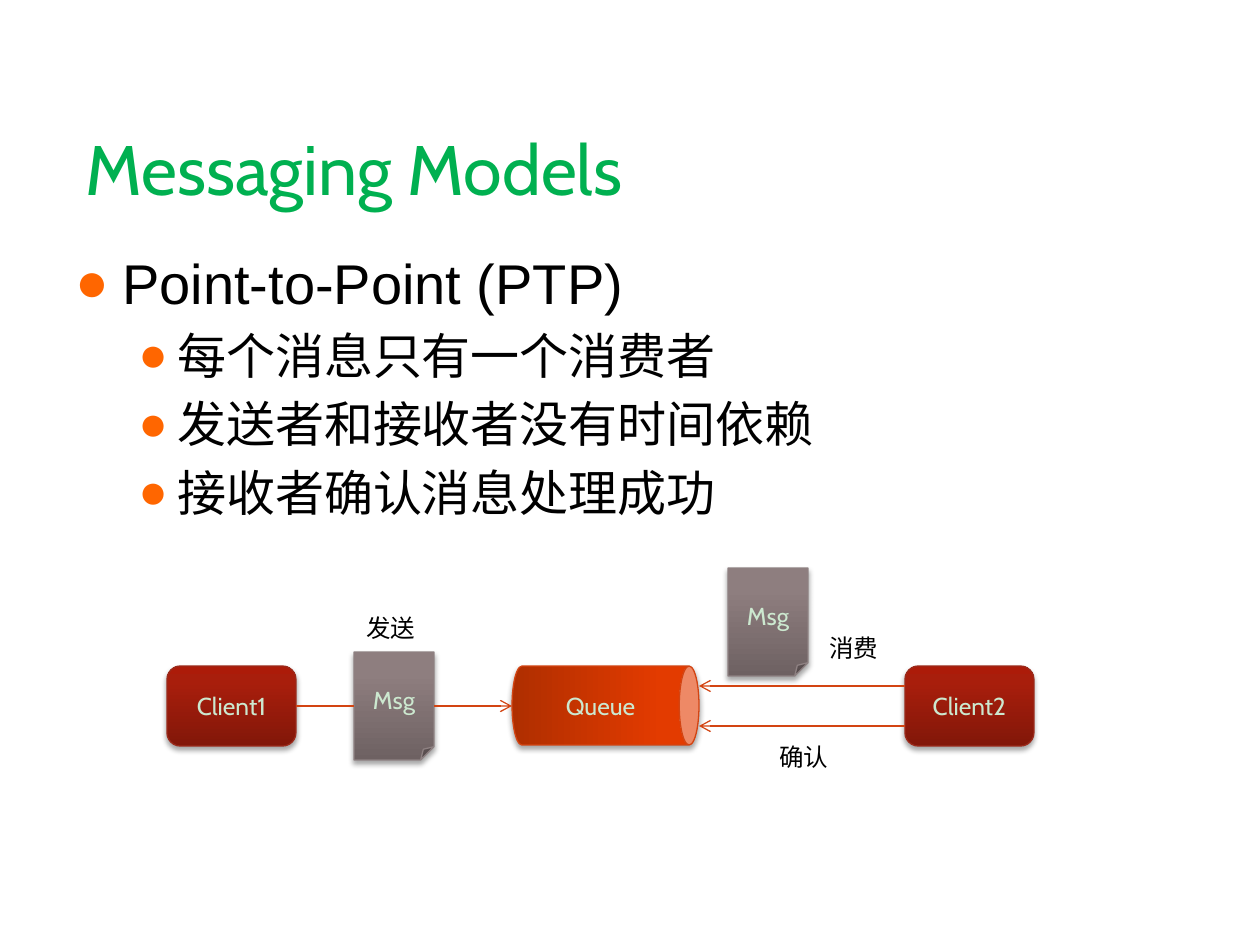
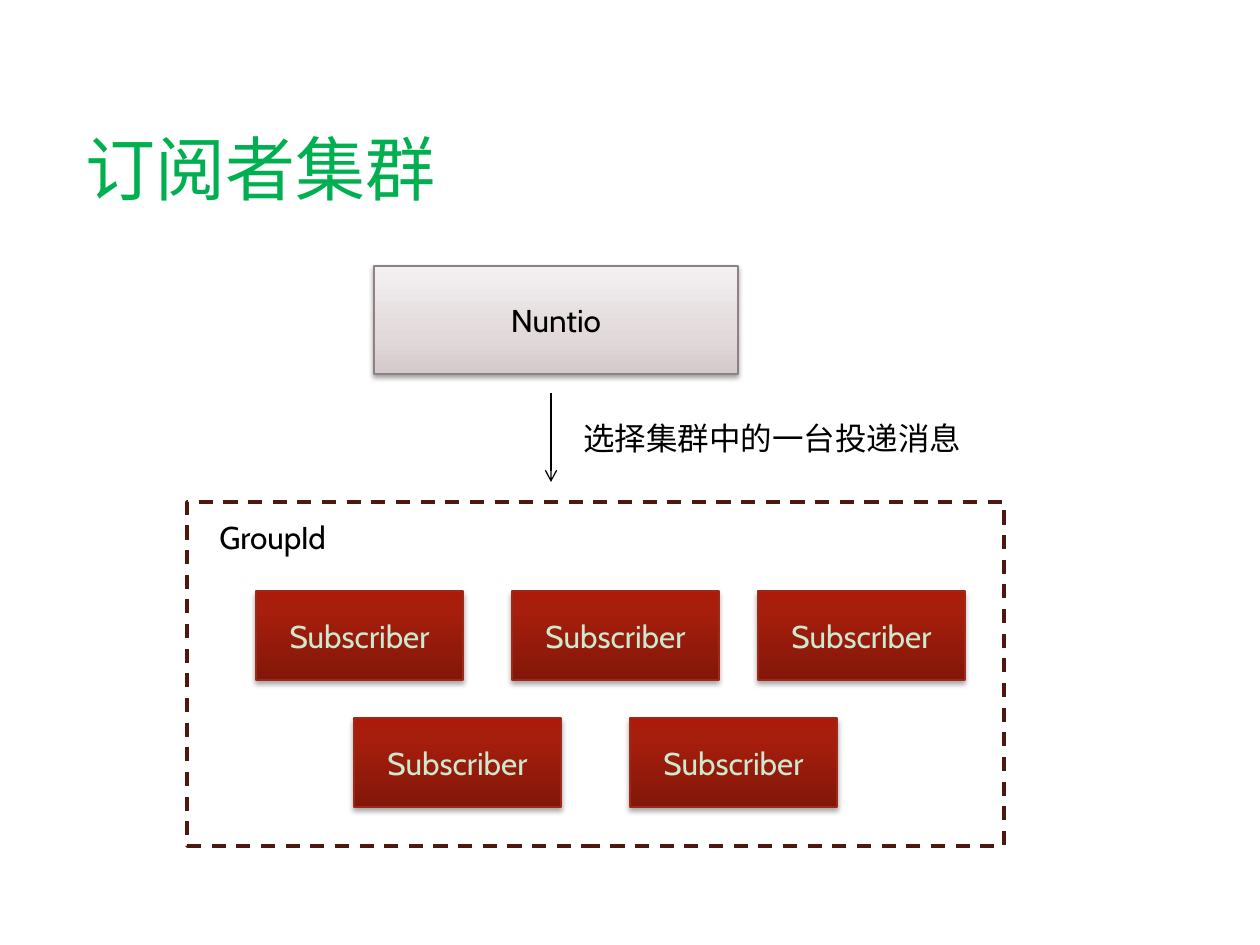
"""Build two slides on point-to-point messaging and subscriber clusters."""
import dataclasses
import pptx
import pptx.dml.color
import pptx.enum.dml
import pptx.enum.shapes
import pptx.enum.text
import pptx.oxml
import pptx.oxml.ns
import pptx.util

FORM = pptx.enum.shapes.MSO_SHAPE
ALIGN = pptx.enum.text.PP_ALIGN
ANCHOR = pptx.enum.text.MSO_ANCHOR
LEFT, RIGHT = 1, 3


@dataclasses.dataclass(frozen=True)
class Skin:
    """Gradient stops, outline and shadow of a box."""
    stops: tuple
    edge: str
    alpha: int = 35
    drop: float = 1.8
    ink: str = "CCE8CF"


@dataclasses.dataclass(frozen=True)
class Theme:
    """Colours, fonts and type sizes of the deck."""
    head: str = "Cabin"
    body: str = "Arial"
    title: str = "00B050"
    ink: str = "000000"
    dot: str = "FF6600"
    wire: str = "D34412"
    frame: str = "4E1710"
    title_size: int = 40
    point_sizes: tuple = (32, 28)
    small: int = 14
    large: int = 18
    red: Skin = Skin(((0, "821709"), (80, "A81E0C"), (100, "AC1B09")), "9B2A1B")
    grey: Skin = Skin(((0, "6E6162"), (80, "8E7E7F"), (100, "8F7E80")), "8E8182")
    fire: Skin = Skin(((0, "AF2E00"), (80, "E33B00"), (100, "E43B00")), "D34412")
    pale: Skin = Skin(((0, "D5CACB"), (35, "E1D9DA"), (100, "F4F0F1")), "8E8182",
                      38, 1.6, "000000")


THEME = Theme()
SIZE = (1260, 945)
TITLE_BOX = (73, 126, 1124, 84)
POINT_BOX = (63, 242, 1134, 602)
INDENTS = ((47, -47), (102, -39))

MODEL = {
    "title": "Messaging Models",
    "points": [
        (0, "Point-to-Point (PTP)"),
        (1, "每个消息只有一个消费者"),
        (1, "发送者和接收者没有时间依赖"),
        (1, "接收者确认消息处理成功"),
    ],
    "boxes": {
        "sender": ("Client1", FORM.ROUNDED_RECTANGLE, (167, 666, 129, 80), THEME.red),
        "sent": ("Msg", FORM.FOLDED_CORNER, (354, 652, 80, 108), THEME.grey),
        "taker": ("Client2", FORM.ROUNDED_RECTANGLE, (905, 666, 129, 80), THEME.red),
        "taken": ("Msg", FORM.FOLDED_CORNER, (728, 568, 80, 108), THEME.grey),
    },
    "queue": ("Queue", FORM.CAN, (566, 612, 79, 187), THEME.fire),
    "labels": [
        ("发送", (354, 607, 74, 43)),
        ("消费", (817, 627, 74, 43)),
        ("确认", (767, 736, 74, 43)),
    ],
    "pulls": (686, 726),
}

CLUSTER = {
    "title": "订阅者集群",
    "source": ("Nuntio", FORM.RECTANGLE, (374, 266, 364, 108), THEME.pale),
    "member": "Subscriber",
    "size": (207, 89),
    "rows": {591: (256, 512, 758), 718: (354, 630)},
    "group": (187, 502, 817, 344),
    "labels": [
        ("GroupId", (207, 512, 137, 50)),
        ("选择集群中的一台投递消息", (571, 413, 407, 50)),
    ],
    "arrow": (551, 393, 551, 482),
}


def px(count):
    """Turn pixels into EMU."""
    return pptx.util.Emu(round(count * 914400 / 126))


def rgb(code):
    """Turn a hex code into a colour."""
    return pptx.dml.color.RGBColor.from_string(code)


def node(tag, inner="", **attrs):
    """Make one drawing element from its tag, inner XML and attributes."""
    pairs = "".join(f' {key}="{value}"' for key, value in attrs.items())
    space = pptx.oxml.ns.nsdecls("a")
    return pptx.oxml.parse_xml(f"<a:{tag} {space}{pairs}>{inner}</a:{tag}>")


def write(shape, text, size, color=THEME.ink, font=THEME.head, align=ALIGN.LEFT,
          anchor=ANCHOR.TOP, wrap=True, more=False):
    """Write a paragraph into a shape and return it."""
    frame = shape.text_frame
    frame.word_wrap = wrap
    frame.vertical_anchor = anchor
    para = frame.add_paragraph() if more else frame.paragraphs[0]
    para.alignment = align
    run = para.add_run()
    run.text = text
    run.font.size = pptx.util.Pt(size)
    run.font.name = font
    run.font.color.rgb = rgb(color)
    return para


def label(slide, text, area, size, **look):
    """Add a text box."""
    box = slide.shapes.add_textbox(*map(px, area))
    write(box, text, size, **look)


def block(slide, text, form, area, skin, size):
    """Add a gradient box with a soft shadow and centred text."""
    shape = slide.shapes.add_shape(form, *map(px, area))
    props = shape._element.spPr
    stops = "".join(f'<a:gs pos="{at * 1000}"><a:srgbClr val="{code}"/></a:gs>'
                    for at, code in skin.stops)
    props.append(node("gradFill", f'<a:gsLst>{stops}</a:gsLst>'
                      '<a:lin ang="16200000" scaled="0"/>', rotWithShape=1))
    shape.line.color.rgb = rgb(skin.edge)
    shape.line.width = pptx.util.Pt(0.75)
    shape.shadow.inherit = False
    shade = f'<a:srgbClr val="000000"><a:alpha val="{skin.alpha * 1000}"/></a:srgbClr>'
    props.find(pptx.oxml.ns.qn("a:effectLst")).append(
        node("outerShdw", shade, blurRad=pptx.util.Pt(3.1),
             dist=pptx.util.Pt(skin.drop), dir=5400000, rotWithShape=0))
    write(shape, text, size, color=skin.ink, align=ALIGN.CENTER, anchor=ANCHOR.MIDDLE)
    return shape


def wire(slide, ends, color, arrow=True):
    """Add a thin straight line, with an arrowhead if asked."""
    line = slide.shapes.add_connector(
        pptx.enum.shapes.MSO_CONNECTOR.STRAIGHT, *map(px, ends))
    line.line.color.rgb = rgb(color)
    line.line.width = pptx.util.Pt(0.75)
    props = line._element.spPr
    if arrow:
        props.find(pptx.oxml.ns.qn("a:ln")).append(node("tailEnd", type="arrow"))
    props.append(node("effectLst"))
    return line


def start(deck, title):
    """Add a blank slide with its title."""
    slide = deck.slides.add_slide(deck.slide_layouts[6])
    label(slide, title, TITLE_BOX, THEME.title_size, color=THEME.title,
          anchor=ANCHOR.MIDDLE)
    return slide


def list_points(slide, points):
    """Add the bulleted list."""
    box = slide.shapes.add_textbox(*map(px, POINT_BOX))
    for index, (level, text) in enumerate(points):
        para = write(box, text, THEME.point_sizes[level], font=THEME.body,
                     more=index > 0)
        para.level = level
        props = para._p.get_or_add_pPr()
        margin, indent = INDENTS[level]
        props.set("marL", str(px(margin)))
        props.set("indent", str(px(indent)))
        props.extend([
            node("spcBef", '<a:spcPct val="20000"/>'),
            node("buClr", f'<a:srgbClr val="{THEME.dot}"/>'),
            node("buFont", typeface=THEME.body),
            node("buChar", char="●"),
        ])


def draw_model(deck):
    """Draw the point-to-point model."""
    slide = start(deck, MODEL["title"])
    list_points(slide, MODEL["points"])
    boxes = {key: block(slide, *part, THEME.small)
             for key, part in MODEL["boxes"].items()}
    queue = block(slide, *MODEL["queue"], THEME.small)
    queue.rotation = 90
    queue.text_frame._txBody.bodyPr.set("vert", "vert270")

    x, y, wide, high = MODEL["queue"][2]
    mid = y + high // 2 + 1
    near, far = x + (wide - high) // 2, x + (wide + high) // 2
    send = wire(slide, (296, mid, 354, mid), THEME.wire, arrow=False)
    send.begin_connect(boxes["sender"], RIGHT)
    send.end_connect(boxes["sent"], LEFT)
    store = wire(slide, (434, mid, near, mid), THEME.wire)
    store.begin_connect(boxes["sent"], RIGHT)
    edge = MODEL["boxes"]["taker"][2][0]
    for level in MODEL["pulls"]:
        wire(slide, (edge, level, far, level), THEME.wire)
    for text, area in MODEL["labels"]:
        label(slide, text, area, THEME.small, wrap=False)


def draw_cluster(deck):
    """Draw the subscriber cluster."""
    slide = start(deck, CLUSTER["title"])
    block(slide, *CLUSTER["source"], THEME.large)
    group = slide.shapes.add_shape(FORM.RECTANGLE, *map(px, CLUSTER["group"]))
    group.fill.background()
    group.line.color.rgb = rgb(THEME.frame)
    group.line.width = pptx.util.Pt(2)
    group.line.dash_style = pptx.enum.dml.MSO_LINE.DASH
    group.shadow.inherit = False
    for top, lefts in CLUSTER["rows"].items():
        for left in lefts:
            block(slide, CLUSTER["member"], FORM.RECTANGLE,
                  (left, top, *CLUSTER["size"]), THEME.red, THEME.large)
    wire(slide, CLUSTER["arrow"], THEME.ink)
    for text, area in CLUSTER["labels"]:
        label(slide, text, area, THEME.large, wrap=False)


def main():
    """Build and save the deck."""
    deck = pptx.Presentation()
    deck.slide_width, deck.slide_height = map(px, SIZE)
    draw_model(deck)
    draw_cluster(deck)
    deck.save("out.pptx")


if __name__ == "__main__":
    main()
